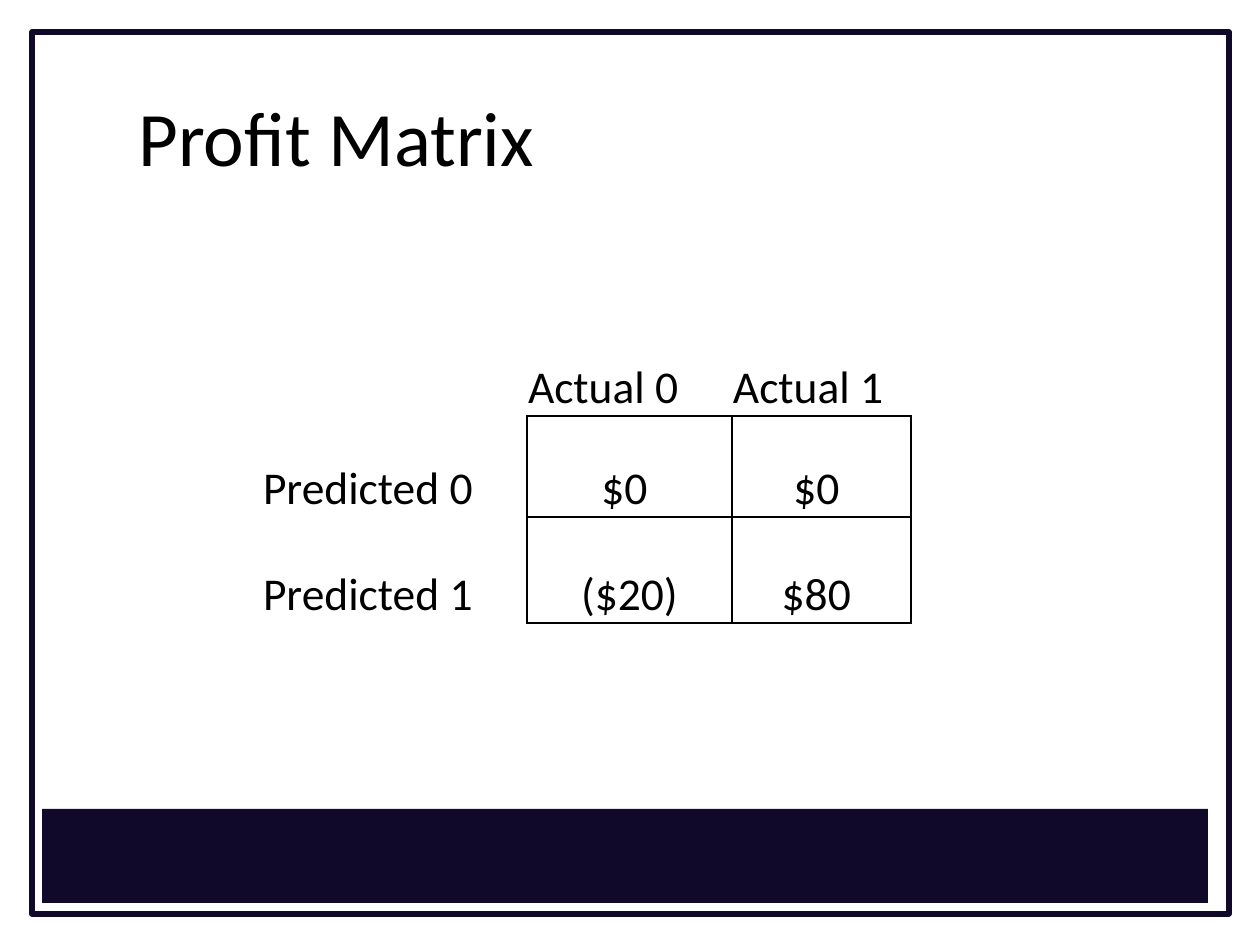
from lxml.etree import SubElement
from pptx import Presentation
from pptx.dml.color import RGBColor
from pptx.enum.shapes import MSO_SHAPE
from pptx.enum.text import MSO_ANCHOR, PP_ALIGN
from pptx.oxml.ns import qn
from pptx.util import Emu, Pt

COLORS = {"navy": "11092A", "black": "000000", "white": "FFFFFF"}
SCALE = 914400 / 126


def px(length):
    return Emu(round(length * SCALE))


def write(frame, text, size, align=PP_ALIGN.LEFT):
    frame.word_wrap = True
    paragraph = frame.paragraphs[0]
    paragraph.alignment = align
    run = paragraph.add_run()
    run.text = text
    run.font.size = Pt(size)
    run.font.name = "Calibri"
    run.font.color.rgb = RGBColor.from_string(COLORS["black"])


deck = Presentation()
deck.slide_width, deck.slide_height = px(1260), px(945)
slide = deck.slides.add_slide(deck.slide_layouts[6])
slide.background.fill.solid()
slide.background.fill.fore_color.rgb = RGBColor.from_string(COLORS["white"])
navy = RGBColor.from_string(COLORS["navy"])

border = slide.shapes.add_shape(MSO_SHAPE.RECTANGLE, px(32), px(32), px(1197), px(882))
border.shadow.inherit = False
border.fill.background()
border.line.color.rgb = navy
border.line.width = Pt(3)

footer = slide.shapes.add_shape(MSO_SHAPE.RECTANGLE, px(42), px(809), px(1166), px(94))
footer.shadow.inherit = False
footer.fill.solid()
footer.fill.fore_color.rgb = navy
footer.line.fill.background()

title = slide.shapes.add_textbox(px(126), px(38), px(1071), px(157)).text_frame
title.vertical_anchor = MSO_ANCHOR.BOTTOM
title.margin_bottom = px(13)
write(title, "Profit Matrix", 44)

PROFITS = [
    ["", "Actual 0", "Actual 1"],
    ["Predicted 0", "$0 ", "$0 "],
    ["Predicted 1", "($20)", "$80 "],
]
COLUMN_WIDTHS = [265, 205, 179]
ROW_HEIGHTS = [101, 101, 106]

matrix = slide.shapes.add_table(
    3, 3, px(262), px(315), px(sum(COLUMN_WIDTHS)), px(sum(ROW_HEIGHTS))
).table
matrix.first_row = matrix.horz_banding = False
for column, width in zip(matrix.columns, COLUMN_WIDTHS):
    column.width = px(width)
for row, height in zip(matrix.rows, ROW_HEIGHTS):
    row.height = px(height)

for r, labels in enumerate(PROFITS):
    for c, label in enumerate(labels):
        cell = matrix.cell(r, c)
        cell.vertical_anchor = MSO_ANCHOR.BOTTOM
        cell.margin_left = cell.margin_right = cell.margin_top = px(1)
        cell.margin_bottom = 0
        is_value = r > 0 and c > 0
        if label:
            write(cell.text_frame, label, 26,
                  align=PP_ALIGN.CENTER if is_value else PP_ALIGN.LEFT)

        # Only the value cells are boxed; headings share the touching edge.
        if is_value:
            ruled = "LRTB"
        elif c > 0:
            ruled = "B"
        else:
            ruled = "R" if r > 0 else ""
        properties = cell._tc.get_or_add_tcPr()
        for side in "LRTB":
            edge = SubElement(properties, qn(f"a:ln{side}"), w=str(Pt(0.75)))
            if side in ruled:
                paint = SubElement(edge, qn("a:solidFill"))
                SubElement(paint, qn("a:srgbClr"), val=COLORS["black"])
            else:
                SubElement(edge, qn("a:noFill"))
        cell.fill.background()

deck.save("out.pptx")
